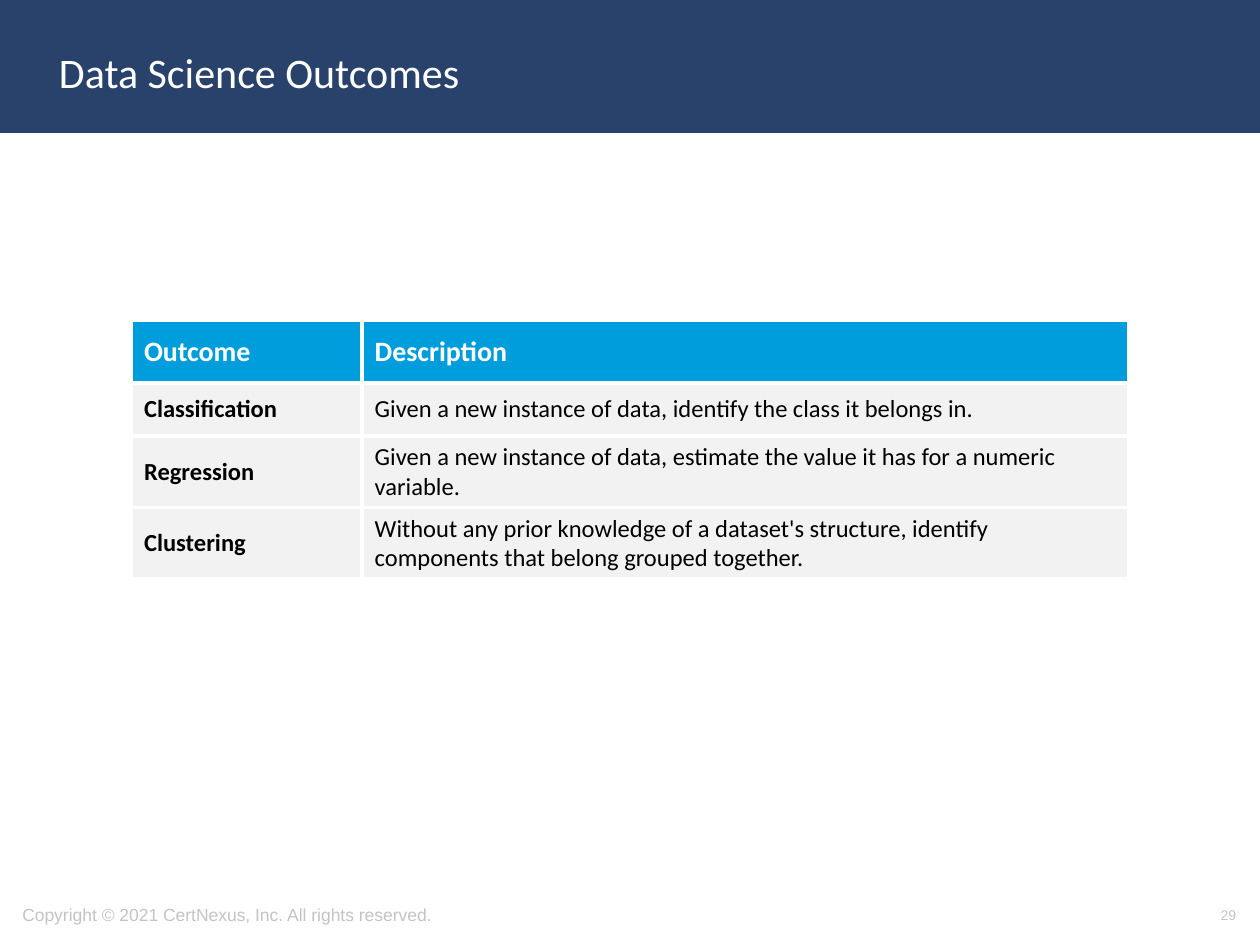
import pptx
import pptx.util
import pptx.dml.color
import pptx.enum.shapes
import pptx.enum.text
import pptx.oxml
import pptx.oxml.ns

Cm = pptx.util.Cm
Pt = pptx.util.Pt
RGBColor = pptx.dml.color.RGBColor
ALIGN = pptx.enum.text.PP_ALIGN
MIDDLE = pptx.enum.text.MSO_ANCHOR.MIDDLE

NAVY = RGBColor(0x28, 0x42, 0x6C)
BLUE = RGBColor(0x00, 0x9D, 0xDC)
PALE_GRAY = RGBColor(0xF2, 0xF2, 0xF2)
FOOTER_GRAY = RGBColor(0xC4, 0xC4, 0xC4)
WHITE = RGBColor(0xFF, 0xFF, 0xFF)
BLACK = RGBColor(0x00, 0x00, 0x00)

OUTCOMES = [
    ("Outcome", "Description"),
    ("Classification", "Given a new instance of data, identify the class it belongs in."),
    ("Regression", "Given a new instance of data, estimate the value it has for a numeric variable."),
    ("Clustering", "Without any prior knowledge of a dataset's structure, identify "
                   "components that belong grouped together."),
]
COLUMN_WIDTHS = [Cm(4.65), Cm(15.45)]
HEADER_HEIGHT = Cm(1.27)
ROW_HEIGHT = Cm(1.07)


def write_text(frame, text, size, color, font="Calibri", bold=False, align=ALIGN.LEFT):
    para = frame.paragraphs[0]
    para.alignment = align
    span = para.add_run()
    span.text = text
    span.font.name = font
    span.font.size = Pt(size)
    span.font.bold = bold
    span.font.color.rgb = color


def add_text(page, left, top, width, height, text, **style):
    box = page.shapes.add_textbox(left, top, width, height)
    box.text_frame.word_wrap = True
    box.text_frame.vertical_anchor = MIDDLE
    write_text(box.text_frame, text, **style)


def add_band(page, width, height):
    band = page.shapes.add_shape(
        pptx.enum.shapes.MSO_SHAPE.RECTANGLE, 0, 0, width, height)
    band.shadow.inherit = False
    band.fill.solid()
    band.fill.fore_color.rgb = NAVY
    band.line.color.rgb = NAVY
    band.line.width = Pt(2)


def set_borders(cell, color, width):
    properties = cell._tc.get_or_add_tcPr()
    for side in ("lnL", "lnR", "lnT", "lnB"):
        properties.append(pptx.oxml.parse_xml(
            f'<a:{side} {pptx.oxml.ns.nsdecls("a")} w="{width}"><a:solidFill>'
            f'<a:srgbClr val="{color}"/></a:solidFill></a:{side}>'))


def add_outcome_table(page, left, top):
    height = HEADER_HEIGHT + ROW_HEIGHT * (len(OUTCOMES) - 1)
    table = page.shapes.add_table(
        len(OUTCOMES), len(COLUMN_WIDTHS), left, top, sum(COLUMN_WIDTHS), height).table
    for column, width in zip(table.columns, COLUMN_WIDTHS):
        column.width = width
    for row_index, texts in enumerate(OUTCOMES):
        header = row_index == 0
        table.rows[row_index].height = HEADER_HEIGHT if header else ROW_HEIGHT
        for column_index, text in enumerate(texts):
            cell = table.cell(row_index, column_index)
            set_borders(cell, WHITE, Pt(2.25))
            cell.fill.solid()
            cell.fill.fore_color.rgb = BLUE if header else PALE_GRAY
            cell.vertical_anchor = MIDDLE
            write_text(cell.text_frame, text,
                       size=16 if header else 14,
                       color=WHITE if header else BLACK,
                       bold=header or column_index == 0)


def main():
    deck = pptx.Presentation()
    deck.slide_width, deck.slide_height = Cm(25.4), Cm(19.05)
    page = deck.slides.add_slide(deck.slide_layouts[6])

    # Title band
    add_band(page, deck.slide_width, Cm(2.64))
    add_text(page, Cm(0.94), Cm(0.28), Cm(21.9), Cm(2.34),
             "Data Science Outcomes", size=24, color=WHITE)

    # Outcomes
    add_outcome_table(page, Cm(2.65), Cm(6.45))

    # Footer
    footer_top, footer_height = Cm(17.93), Cm(1.02)
    add_text(page, Cm(0.2), footer_top, Cm(13.39), footer_height,
             "Copyright © 2021 CertNexus, Inc. All rights reserved.",
             size=10, color=FOOTER_GRAY, font="Arial")
    add_text(page, Cm(19.25), footer_top, Cm(5.92), footer_height, "29",
             size=8, color=FOOTER_GRAY, font="Arial", align=ALIGN.RIGHT)

    deck.save("out.pptx")


if __name__ == "__main__":
    main()
